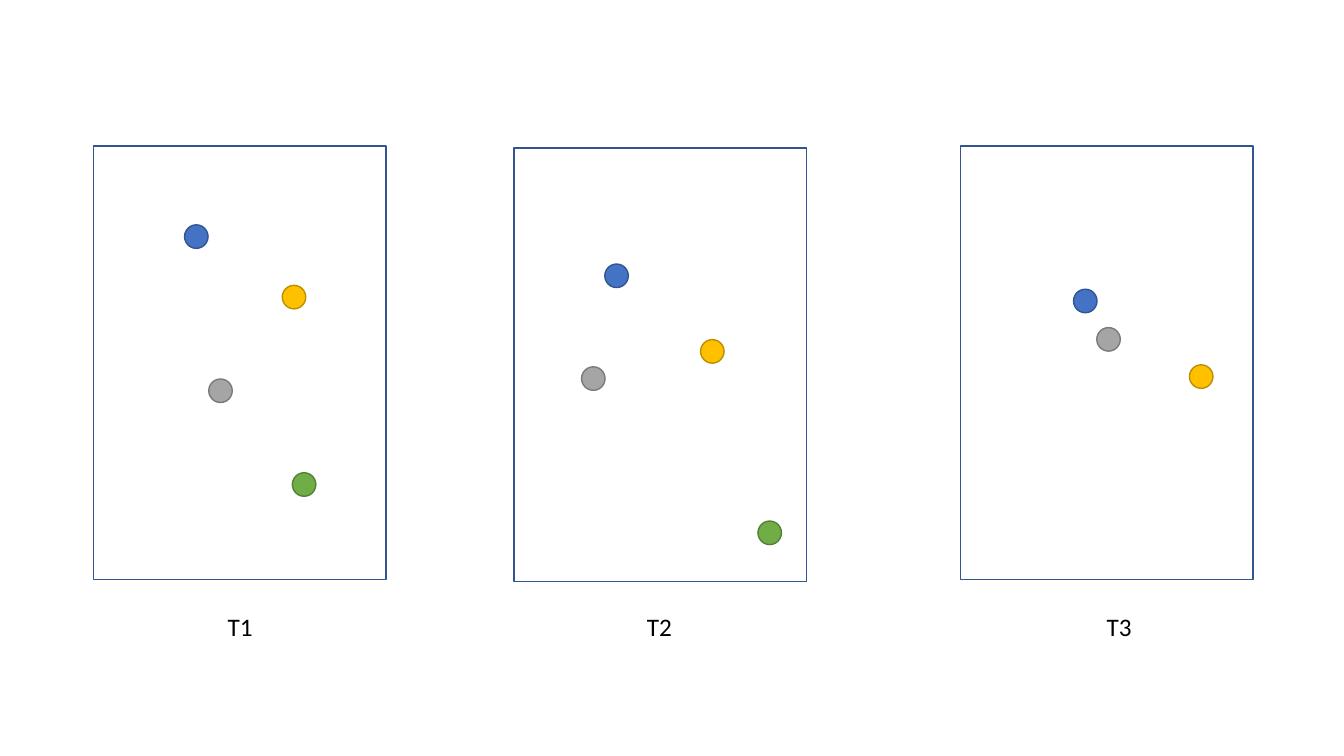
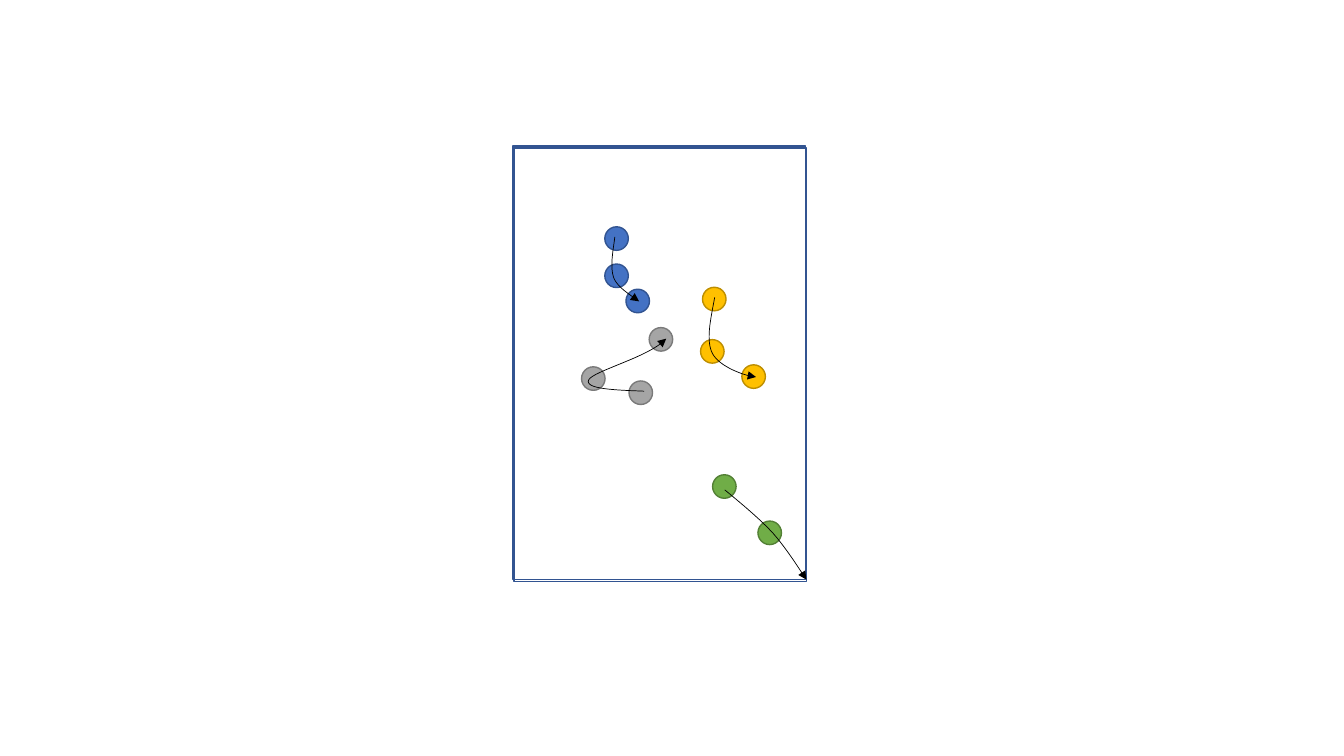
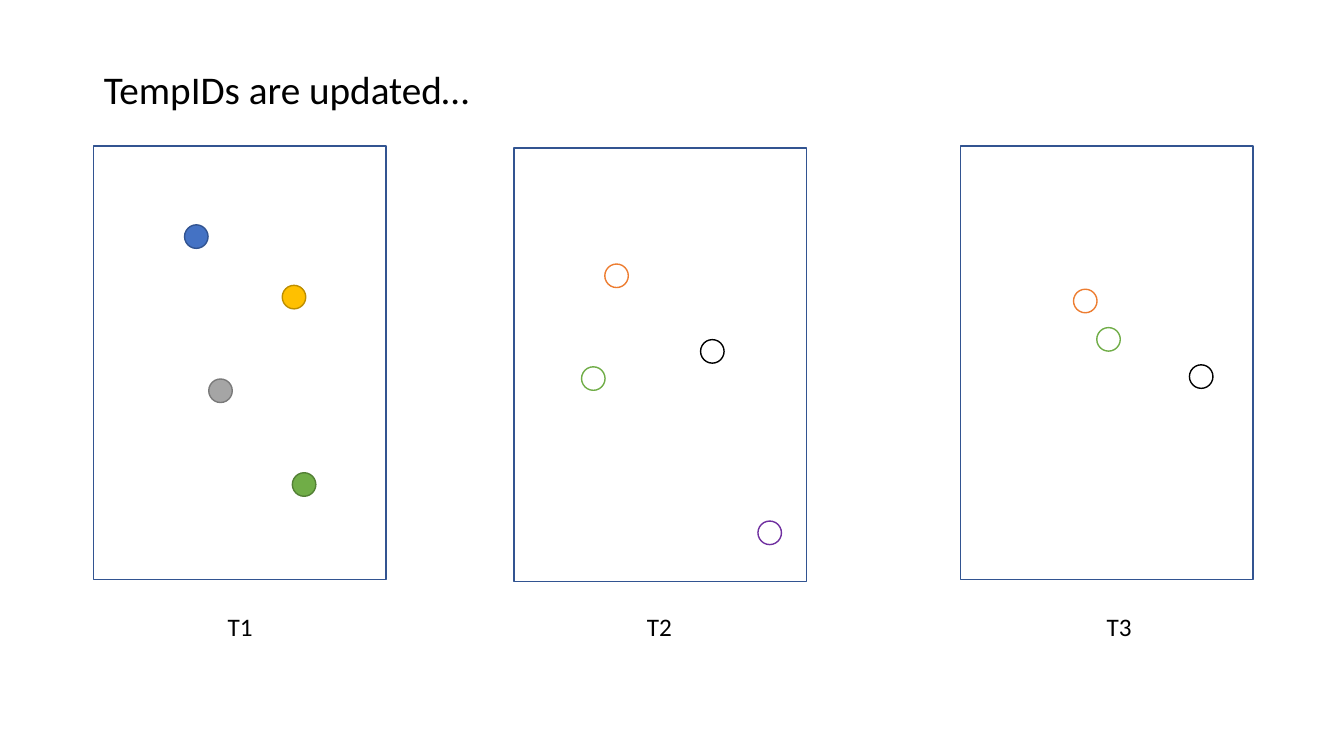
import pptx
import pptx.util
import pptx.dml.color
import pptx.enum.shapes
import pptx.enum.text
import pptx.oxml
import pptx.oxml.ns
from dataclasses import dataclass

Pt = pptx.util.Pt
KIND = pptx.enum.shapes.MSO_SHAPE
TEXT = pptx.enum.text


@dataclass(frozen=True)
class Theme:
    font: str = "Calibri"
    ink: str = "000000"
    frame: str = "325491"
    label: float = 18
    title: float = 28
    line: float = 1
    thin: float = 0.5


LOOK = Theme()

# Fill and outline of each dot
SOLID = {
    "blue": ("4472C4", "325491"),
    "gold": ("FFC000", "BD8E00"),
    "grey": ("A5A5A5", "7A7A7A"),
    "green": ("70AD47", "538035"),
}
RINGS = {
    "blue": ("FFFFFF", "ED7D31"),
    "gold": ("FFFFFF", "000000"),
    "grey": ("FFFFFF", "70AD47"),
    "green": ("FFFFFF", "7030A0"),
}

# Each time step: frame corner, label left, dots measured from the frame
STEPS = {
    "T1": ((67, 104.4), 155.5, {
        "blue": (64.8, 56.2), "gold": (134.6, 99.4),
        "grey": (82.1, 166.3), "green": (141.8, 233.3)}),
    "T2": ((367.2, 105.8), 455, {
        "blue": (64.8, 82.8), "gold": (133.2, 136.8),
        "grey": (48.2, 156.2), "green": (174.2, 266.4)}),
    "T3": ((686.2, 104.4), 783.4, {
        "blue": (80.6, 102.2), "gold": (163.4, 156.2),
        "grey": (97.2, 129.6)}),
}

# Overlay slide: step, frame corner, whether the frame shows
STACK = [
    ("T1", (367.2, 105.8), False),
    ("T2", (367.2, 105.8), True),
    ("T3", (366.5, 104.4), True),
]

# Tracks: start point, then two cubic curves of three points each
TRACKS = [
    [(439.2, 169.2), (437.8, 180), (435.6, 190.8), (438.5, 198.7),
     (441.4, 205.9), (452.9, 212.4), (456.5, 215.3)],
    [(510.5, 212.4), (507.6, 228.2), (504, 243.4), (509, 252.7),
     (514.1, 262.1), (532.1, 268.6), (540, 269.3)],
    [(460.1, 279.4), (439.2, 278.6), (417.6, 277.9), (420.5, 271.4),
     (423.4, 265), (464.4, 254.9), (475.9, 241.9)],
    [(517.7, 349.9), (529.9, 360), (542.2, 370.1), (552.2, 380.9),
     (561.6, 391.7), (568.8, 403.2), (576, 414)],
]

TITLE = "TempIDs are updated…"
WIDE, HIGH, DOT = 208.8, 309.6, 16.8
CUTS = 16


def tint(code):
    return pptx.dml.color.RGBColor.from_string(code)


def paint(shape, fill, line, width):
    shape.shadow.inherit = False
    if fill:
        shape.fill.solid()
        shape.fill.fore_color.rgb = tint(fill)
    else:
        shape.fill.background()
    shape.line.color.rgb = tint(line)
    shape.line.width = Pt(width)


def place(group, kind, box, fill, line):
    shape = group.shapes.add_shape(kind, *map(Pt, box))
    paint(shape, fill, line, LOOK.line)


def write(shape, text, size):
    frame = shape.text_frame
    frame.text = text
    frame.word_wrap = False
    frame.auto_size = TEXT.MSO_AUTO_SIZE.NONE
    frame.vertical_anchor = TEXT.MSO_ANCHOR.TOP
    para = frame.paragraphs[0]
    para.alignment = TEXT.PP_ALIGN.LEFT
    font = para.runs[0].font
    font.name, font.size = LOOK.font, Pt(size)
    font.color.rgb = tint(LOOK.ink)


def panel(group, name, corner, tones, framed=True):
    """Draw the dots of one step, with its frame if wanted."""
    left, top = corner
    if framed:
        place(group, KIND.RECTANGLE, (left, top, WIDE, HIGH), None, LOOK.frame)
    for key, (x, y) in STEPS[name][2].items():
        place(group, KIND.OVAL, (left + x, top + y, DOT, DOT), *tones[key])


def label(slide, name):
    box = slide.shapes.add_textbox(*map(Pt, (STEPS[name][1], 433.4, 32.4, 28.8)))
    write(box, name, LOOK.label)


def bend(ends, t):
    """Point on a cubic curve at t."""
    rest = 1 - t
    parts = (rest ** 3, 3 * rest * rest * t, 3 * rest * t * t, t ** 3)
    return tuple(Pt(sum(w * p[axis] for w, p in zip(parts, ends)))
                 for axis in (0, 1))


def track(group, knots):
    """Draw a smooth path that ends in an arrowhead."""
    dots = [bend(knots[i:i + 4], n / CUTS)
            for i in range(0, len(knots) - 1, 3) for n in range(1, CUTS + 1)]
    pen = group.shapes.build_freeform(*map(Pt, knots[0]), scale=1.0)
    pen.add_line_segments(dots, close=False)
    shape = pen.convert_to_shape()
    paint(shape, None, LOOK.ink, LOOK.thin)
    tail = pptx.oxml.ns.qn("a:tailEnd")
    shape.line._get_or_add_ln().append(
        pptx.oxml.parse_xml(
            '<a:tailEnd xmlns:a="http://schemas.openxmlformats.org/'
            'drawingml/2006/main" type="triangle"/>')
        if shape.line._get_or_add_ln().find(tail) is None else
        shape.line._get_or_add_ln().find(tail))


def row(slide, tones):
    """Draw the three steps side by side, each with its own tones."""
    for name, tone in zip(STEPS, tones):
        panel(slide.shapes.add_group_shape(), name, STEPS[name][0], tone)
        label(slide, name)


def main():
    deck = pptx.Presentation()
    deck.slide_width, deck.slide_height = Pt(960), Pt(540)
    headed, blank = deck.slide_layouts[5], deck.slide_layouts[6]

    # Steps side by side
    row(deck.slides.add_slide(blank), [SOLID] * 3)

    # Steps overlaid, with tracks
    group = deck.slides.add_slide(blank).shapes.add_group_shape()
    for name, corner, framed in STACK:
        panel(group, name, corner, SOLID, framed)
    for knots in TRACKS:
        track(group, knots)

    # Steps with new identities
    slide = deck.slides.add_slide(headed)
    title = slide.shapes.title
    title.left, title.top, title.width, title.height = map(
        Pt, (67, 43.2, 278.6, 41))
    write(title, TITLE, LOOK.title)
    row(slide, [SOLID, RINGS, RINGS])

    deck.save("out.pptx")


if __name__ == "__main__":
    main()
